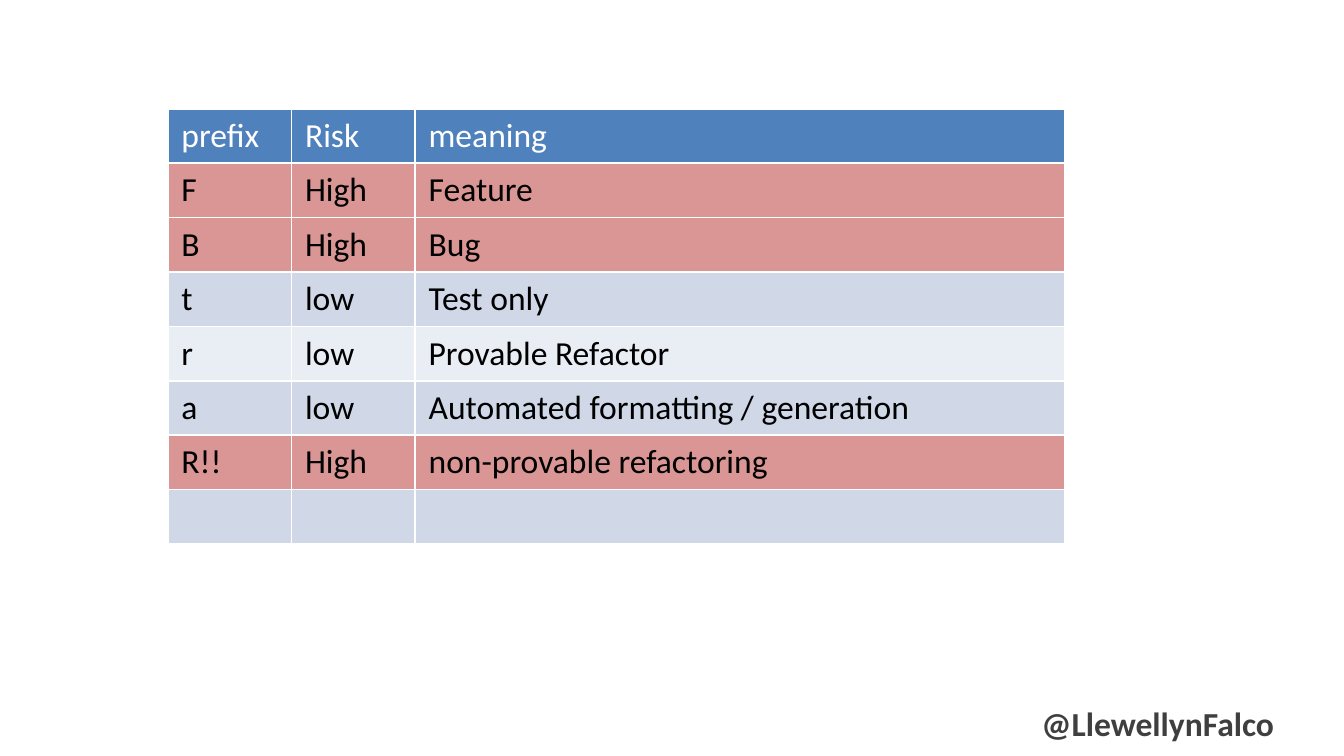
from pptx import Presentation
from pptx.dml.color import RGBColor
from pptx.enum.text import MSO_ANCHOR, PP_ALIGN
from pptx.util import Inches, Pt

LEFT, RIGHT = PP_ALIGN.LEFT, PP_ALIGN.RIGHT
TOP = MSO_ANCHOR.TOP
BLANK_LAYOUT = 6

HEADER = ("prefix", "Risk", "meaning")
COMMITS = [
    ("F", "High", "Feature"),
    ("B", "High", "Bug"),
    ("t", "low", "Test only"),
    ("r", "low", "Provable Refactor"),
    ("a", "low", "Automated formatting / generation"),
    ("R!!", "High", "non-provable refactoring"),
    ("", "", ""),
]
HANDLE = "@LlewellynFalco"

SLIDE_WIDTH = Inches(10)
SLIDE_HEIGHT = SLIDE_WIDTH * 9 // 16
COLUMN_WIDTHS = (0.92, 0.92, 4.83)
TABLE_HEIGHT = 3.24
HEADER_FILL, HIGH_RISK_FILL = "4F81BD", "D99694"
BAND_FILLS = ("D0D8E8", "E9EDF4")


def color(hex_value):
    return RGBColor.from_string(hex_value)


def write(frame, text, size=18, ink="000000", bold=False, align=LEFT):
    paragraph = frame.paragraphs[0]
    paragraph.alignment = align
    paragraph.font.size = Pt(size)
    if not text:
        return
    run = paragraph.add_run()
    run.text = text
    run.font.name = "Calibri"
    run.font.size = Pt(size)
    run.font.bold = bold
    run.font.color.rgb = color(ink)


def row_fill(index, risk):
    if index == 0:
        return HEADER_FILL
    if risk == "High":
        return HIGH_RISK_FILL
    return BAND_FILLS[(index - 1) % 2]


def add_risk_table(slide):
    rows = [HEADER, *COMMITS]
    table = slide.shapes.add_table(
        len(rows), len(HEADER), Inches(1.25), Inches(0.81),
        Inches(sum(COLUMN_WIDTHS)), Inches(TABLE_HEIGHT)).table
    for column, width in zip(table.columns, COLUMN_WIDTHS):
        column.width = Inches(width)
    for r, row in enumerate(rows):
        table.rows[r].height = Inches(TABLE_HEIGHT / len(rows))
        for c, text in enumerate(row):
            cell = table.cell(r, c)
            cell.fill.solid()
            cell.fill.fore_color.rgb = color(row_fill(r, row[1]))
            cell.vertical_anchor = TOP
            write(cell.text_frame, text, ink="000000" if r else "FFFFFF")


def main():
    deck = Presentation()
    deck.slide_width, deck.slide_height = SLIDE_WIDTH, SLIDE_HEIGHT
    slide = deck.slides.add_slide(deck.slide_layouts[BLANK_LAYOUT])
    handle = slide.shapes.add_textbox(
        Inches(7.62), Inches(5.18), Inches(1.96), Inches(0.4))
    handle.text_frame.word_wrap = False
    write(handle.text_frame, HANDLE, ink="3F3F3F", bold=True, align=RIGHT)
    add_risk_table(slide)
    deck.save("out.pptx")


if __name__ == "__main__":
    main()
